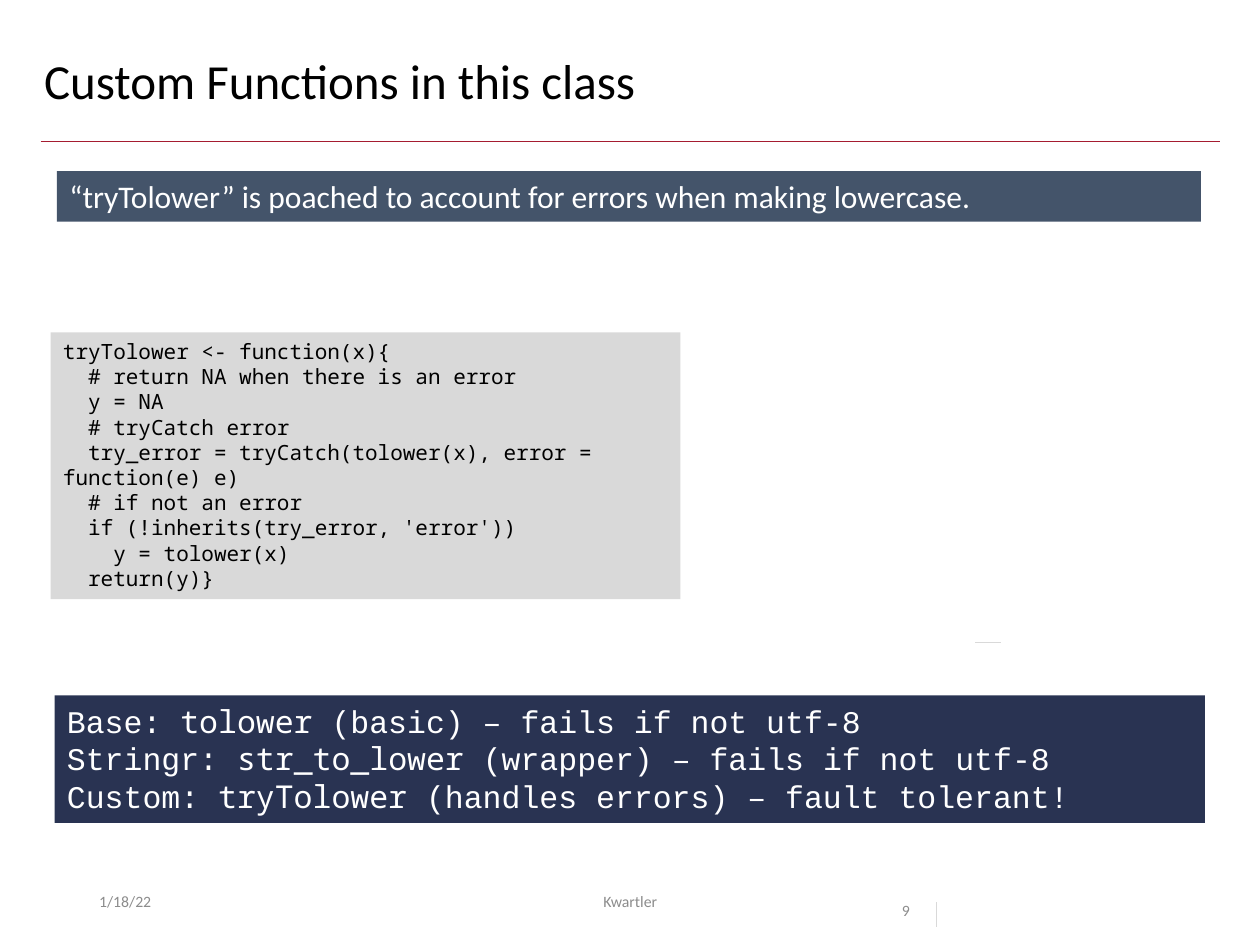
from lxml.etree import SubElement
from pptx import Presentation
from pptx.dml.color import RGBColor
from pptx.enum.shapes import MSO_CONNECTOR, MSO_SHAPE
from pptx.enum.text import MSO_ANCHOR, MSO_AUTO_SIZE, PP_ALIGN
from pptx.oxml.ns import qn
from pptx.util import Cm, Pt

BLACK = RGBColor(0x00, 0x00, 0x00)
WHITE = RGBColor(0xFF, 0xFF, 0xFF)
MUTED = RGBColor(0x8C, 0x8C, 0x8C)
LIGHT = RGBColor(0xD9, 0xD9, 0xD9)
CRIMSON = RGBColor(0xA5, 0x1C, 0x30)
SLATE = RGBColor(0x44, 0x54, 0x6A)
NAVY = RGBColor(0x29, 0x33, 0x52)

SANS, COURIER, MONO = "Calibri", "Courier New", "Noto Sans Mono"

CODE = [
    "tryTolower <- function(x){",
    "  # return NA when there is an error",
    "  y = NA",
    "  # tryCatch error",
    "  try_error = tryCatch(tolower(x), error = function(e) e)",
    "  # if not an error",
    "  if (!inherits(try_error, 'error'))",
    "    y = tolower(x)",
    "  return(y)}",
]
OPTIONS = [
    ("Base: ", "tolower", " (basic) – fails if not utf-8"),
    ("Stringr: ", "str_to_lower", " (wrapper) – fails if not utf-8"),
    ("Custom: ", "tryTolower", " (handles errors) – fault tolerant!"),
]


def write(tf, paragraphs, size, color, align=PP_ALIGN.LEFT, spacing=None):
    """Each paragraph is a list of (text, font) runs."""
    tf.word_wrap = True
    for i, runs in enumerate(paragraphs):
        p = tf.paragraphs[0] if i == 0 else tf.add_paragraph()
        p.alignment = align
        p.line_spacing = spacing
        for text, font in runs:
            r = p.add_run()
            r.text = text
            r.font.name = font
            r.font.size = Pt(size)
            r.font.color.rgb = color


def add_label(s, box, text, size, color, anchor=MSO_ANCHOR.TOP, **style):
    tf = s.shapes.add_textbox(*map(Cm, box)).text_frame
    tf.vertical_anchor = anchor
    write(tf, [[(text, SANS)]], size, color, **style)


def add_panel(s, box, fill, paragraphs, size, color):
    sp = s.shapes.add_shape(MSO_SHAPE.RECTANGLE, *map(Cm, box))
    sp.shadow.inherit = False
    sp.fill.solid()
    sp.fill.fore_color.rgb = fill
    sp.line.fill.background()
    tf = sp.text_frame
    tf.vertical_anchor = MSO_ANCHOR.TOP
    write(tf, paragraphs, size, color)
    tf.auto_size = MSO_AUTO_SIZE.SHAPE_TO_FIT_TEXT


def add_rule(s, x1, y1, x2, y2, color):
    line = s.shapes.add_connector(MSO_CONNECTOR.STRAIGHT, *map(Cm, (x1, y1, x2, y2)))
    line.line.color.rgb = color
    line.line.width = Pt(0.5)
    SubElement(line._element.spPr, qn("a:effectLst"))


def add_header(s, left, top, width, height):
    add_rule(s, left + 0.18, top + 1.83, left + width - 0.1, top + 1.83, CRIMSON)
    add_label(s, (left, top, width, height), "Custom Functions in this class",
              28, BLACK, spacing=0.9)


def add_body(s, left, top, width):
    # Code listing, lead sentence, then the comparison of options
    add_panel(s, (left, top + 3.25, 12.7, 5.38), LIGHT,
              [[(line, MONO)] for line in CODE], 12, BLACK)
    lead = "“tryTolower” is poached to account for errors when making lowercase."
    add_panel(s, (left + 0.13, top, width - 0.13, 1.02), SLATE, [[(lead, SANS)]], 18, WHITE)
    add_panel(s, (left + 0.08, top + 10.57, width, 2.57), NAVY,
              [list(zip(runs, (COURIER, MONO, COURIER))) for runs in OPTIONS], 18, WHITE)
    # Short stray rule beside the code
    add_rule(s, left + 18.64, top + 9.5, left + 19.15, top + 9.5, LIGHT)


def add_footer(s, left, top, height):
    add_label(s, (left, top, 5.72, height), "1/18/22", 9, MUTED, MSO_ANCHOR.MIDDLE)
    add_label(s, (left + 6.66, top, 8.59, height), "Kwartler", 9, MUTED,
              MSO_ANCHOR.MIDDLE, align=PP_ALIGN.CENTER)
    # Page number and its divider
    add_label(s, (left + 16.18, top, 2.39, height), "9", 9, MUTED, spacing=2.0)
    add_rule(s, left + 17.12, top + 0.54, left + 17.12, top + 1.04, LIGHT)


def main():
    prs = Presentation()
    prs.slide_width, prs.slide_height = Cm(25.4), Cm(19.05)
    s = prs.slides.add_slide(prs.slide_layouts[6])
    add_header(s, 0.64, 1.02, 24.05, 1.65)
    add_body(s, 1.02, 3.45, 23.19)
    add_footer(s, 1.75, 17.65, 1.02)
    prs.save("out.pptx")


if __name__ == "__main__":
    main()
